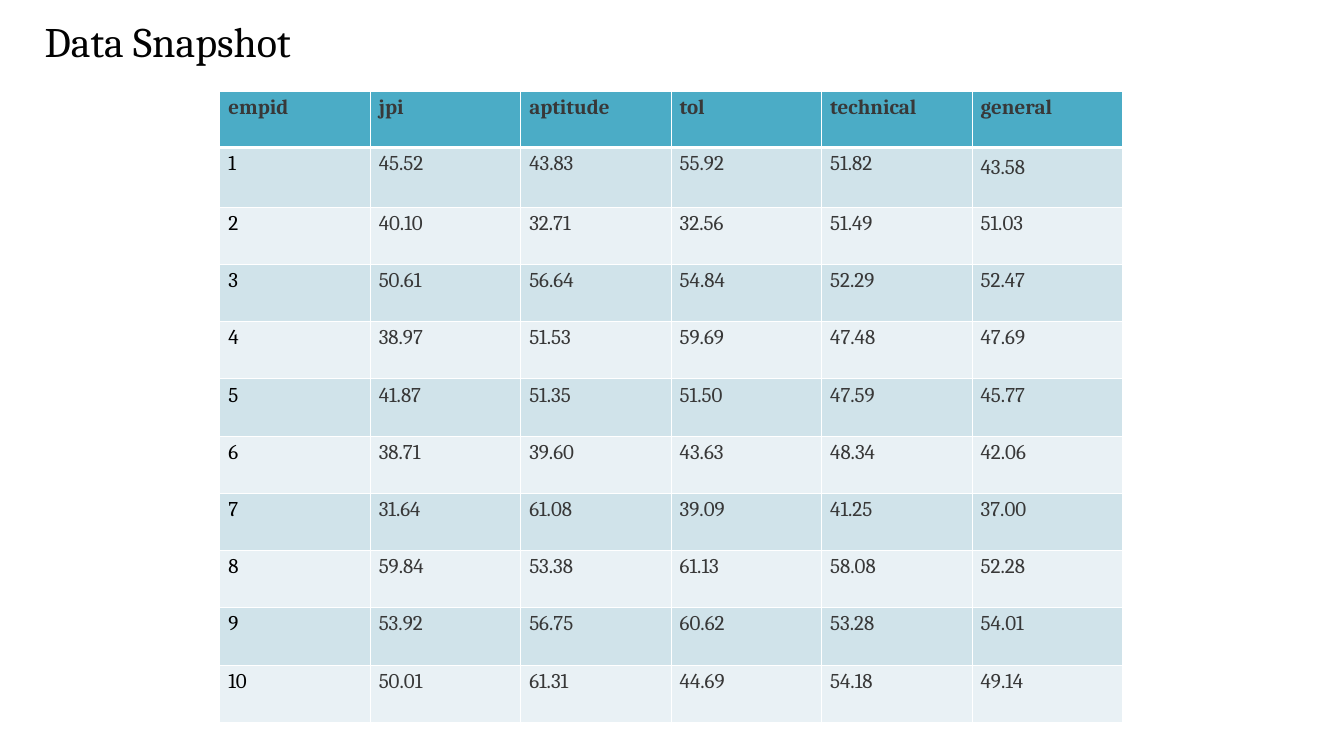
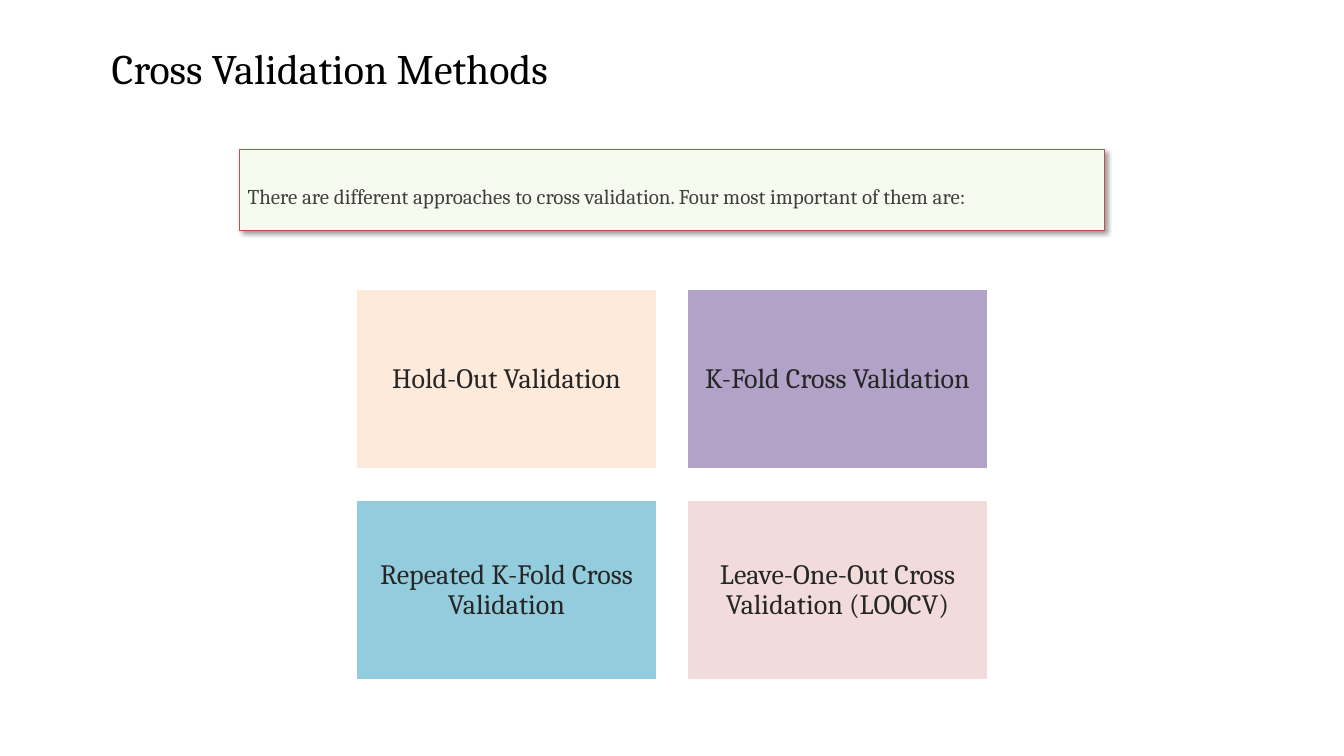
from lxml.etree import SubElement
from pptx import Presentation
from pptx.dml.color import RGBColor
from pptx.enum.shapes import MSO_SHAPE
from pptx.enum.text import MSO_ANCHOR, PP_ALIGN
from pptx.oxml.ns import qn
from pptx.util import Cm, Pt

HEADERS = ["empid", "jpi", "aptitude", "tol", "technical", "general"]
RECORDS = [
    ("1", "45.52", "43.83", "55.92", "51.82", "43.58"),
    ("2", "40.10", "32.71", "32.56", "51.49", "51.03"),
    ("3", "50.61", "56.64", "54.84", "52.29", "52.47"),
    ("4", "38.97", "51.53", "59.69", "47.48", "47.69"),
    ("5", "41.87", "51.35", "51.50", "47.59", "45.77"),
    ("6", "38.71", "39.60", "43.63", "48.34", "42.06"),
    ("7", "31.64", "61.08", "39.09", "41.25", "37.00"),
    ("8", "59.84", "53.38", "61.13", "58.08", "52.28"),
    ("9", "53.92", "56.75", "60.62", "53.28", "54.01"),
    ("10", "50.01", "61.31", "44.69", "54.18", "49.14"),
]
INTRO = "There are different approaches to cross validation. Four most important of them are:"
METHODS = [
    ("Hold-Out Validation", "FDEADA"),
    ("K-Fold Cross Validation", "B3A2C7"),
    ("Repeated K-Fold Cross Validation", "93CDDD"),
    ("Leave-One-Out Cross Validation (LOOCV)", "F2DCDB"),
]

THEME = {
    "font": "Cambria",
    "white": "FFFFFF",
    "header": "4BACC6",
    "bands": ("D0E3EA", "E9F1F5"),
    "note": "F7FBEF",
    "note_line": "C0504D",
    "shadow": "000000",
    "text": {
        "snapshot_title": {"size": 36, "color": "020202"},
        "title": {"size": 36, "color": "000000"},
        "header": {"size": 18, "color": "383838", "bold": True},
        "key": {"size": 18, "color": "000000"},
        "value": {"size": 18, "color": "383838"},
        "note": {"size": 18, "color": "404040"},
        "method": {"size": 24, "color": "262626"},
    },
}

TABLE_LEFT, TABLE_TOP, COLUMN_WIDTH = 6.65, 2.77, 4.55
ROW_HEIGHTS = [1.7, 1.8] + [1.73] * (len(RECORDS) - 1)
CARD_LEFT, CARD_TOP, CARD_WIDTH, CARD_HEIGHT, CARD_GAP = 10.77, 8.74, 9.09, 5.46, 0.92


def apply(target, values):
    for name, value in values.items():
        setattr(target, name, value)


def write(frame, text, style, **paragraph_format):
    paragraph = frame.paragraphs[0]
    apply(paragraph, {"alignment": PP_ALIGN.LEFT, **paragraph_format})
    run = paragraph.add_run()
    run.text = text
    look = THEME["text"][style]
    apply(run.font, {"name": THEME["font"], "size": Pt(look["size"]), "bold": look.get("bold", False)})
    run.font.color.rgb = RGBColor.from_string(look["color"])


def paint(target, color):
    target.fill.solid()
    target.fill.fore_color.rgb = RGBColor.from_string(color)


def add_title(slide, text, left, top, style="title"):
    title = slide.shapes.add_textbox(Cm(left), Cm(top), Cm(37.2), Cm(1.57))
    margins = dict.fromkeys(("margin_left", "margin_top", "margin_right", "margin_bottom"), 0)
    apply(title.text_frame, {"word_wrap": True, **margins})
    write(title.text_frame, text, style)


def add_box(slide, bounds, fill, line, line_width):
    box = slide.shapes.add_shape(MSO_SHAPE.RECTANGLE, *map(Cm, bounds))
    box.shadow.inherit = False
    paint(box, fill)
    box.line.color.rgb = RGBColor.from_string(line)
    box.line.width = Pt(line_width)
    apply(box.text_frame, {"word_wrap": True, "vertical_anchor": MSO_ANCHOR.MIDDLE})
    return box


def add_shadow(shape):
    effects = shape._element.spPr.find(qn("a:effectLst"))
    shadow = SubElement(effects, qn("a:outerShdw"), blurRad=str(Pt(4)), dist=str(Pt(3)),
                        dir="2700000", algn="tl", rotWithShape="0")
    color = SubElement(shadow, qn("a:srgbClr"), val=THEME["shadow"])
    SubElement(color, qn("a:alpha"), val="40000")


def add_borders(cell, widths):
    properties = cell._tc.get_or_add_tcPr()
    for side, width in widths.items():
        line = SubElement(properties, qn(f"a:ln{side}"), w=str(Pt(width)))
        fill = SubElement(line, qn("a:solidFill"))
        SubElement(fill, qn("a:srgbClr"), val=THEME["white"])


def build_snapshot(slide):
    add_title(slide, "Data Snapshot", 1.35, 0.46, "snapshot_title")
    rows = [HEADERS, *RECORDS]
    table = slide.shapes.add_table(
        len(rows), len(HEADERS), Cm(TABLE_LEFT), Cm(TABLE_TOP),
        Cm(COLUMN_WIDTH * len(HEADERS)), Cm(sum(ROW_HEIGHTS))).table
    for column in table.columns:
        column.width = Cm(COLUMN_WIDTH)
    for row_index, (values, height) in enumerate(zip(rows, ROW_HEIGHTS)):
        table.rows[row_index].height = Cm(height)
        is_header = row_index == 0
        fill = THEME["header"] if is_header else THEME["bands"][(row_index - 1) % 2]
        borders = {"L": 1, "R": 1, "T": 3 if row_index == 1 else 1, "B": 3 if is_header else 1}
        for column_index, value in enumerate(values):
            cell = table.cell(row_index, column_index)
            add_borders(cell, borders)
            paint(cell, fill)
            style = "header" if is_header else "value" if column_index else "key"
            spacing = {"line_spacing": Pt(23.5)} if (row_index, column_index) == (1, 5) else {}
            write(cell.text_frame, value, style, **spacing)


def build_methods(slide):
    add_title(slide, "Cross Validation Methods", 3.38, 1.3)
    for index, (name, color) in enumerate(METHODS):
        row, column = divmod(index, 2)
        bounds = (CARD_LEFT + column * (CARD_WIDTH + CARD_GAP),
                  CARD_TOP + row * (CARD_HEIGHT + CARD_GAP), CARD_WIDTH, CARD_HEIGHT)
        card = add_box(slide, bounds, color, THEME["white"], 2)
        write(card.text_frame, name, "method", alignment=PP_ALIGN.CENTER, line_spacing=0.9)
    note = add_box(slide, (7.24, 4.5, 26.16, 2.46), THEME["note"], THEME["note_line"], 0.25)
    add_shadow(note)
    write(note.text_frame, INTRO, "note", line_spacing=1.5)


def main():
    presentation = Presentation()
    apply(presentation, {"slide_width": Cm(40.64), "slide_height": Cm(22.86)})
    for build in (build_snapshot, build_methods):
        build(presentation.slides.add_slide(presentation.slide_layouts[6]))
    presentation.save("out.pptx")


if __name__ == "__main__":
    main()
